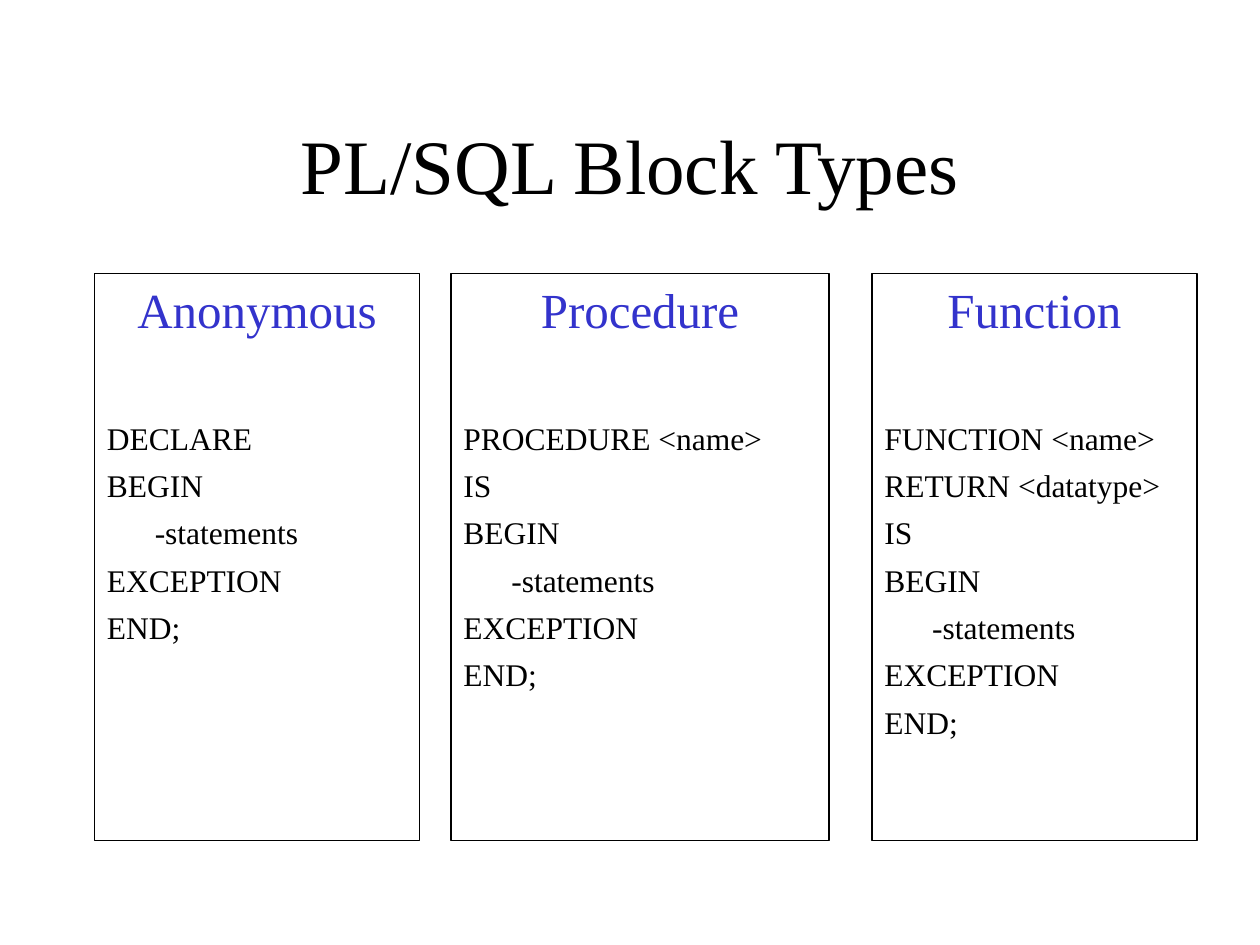
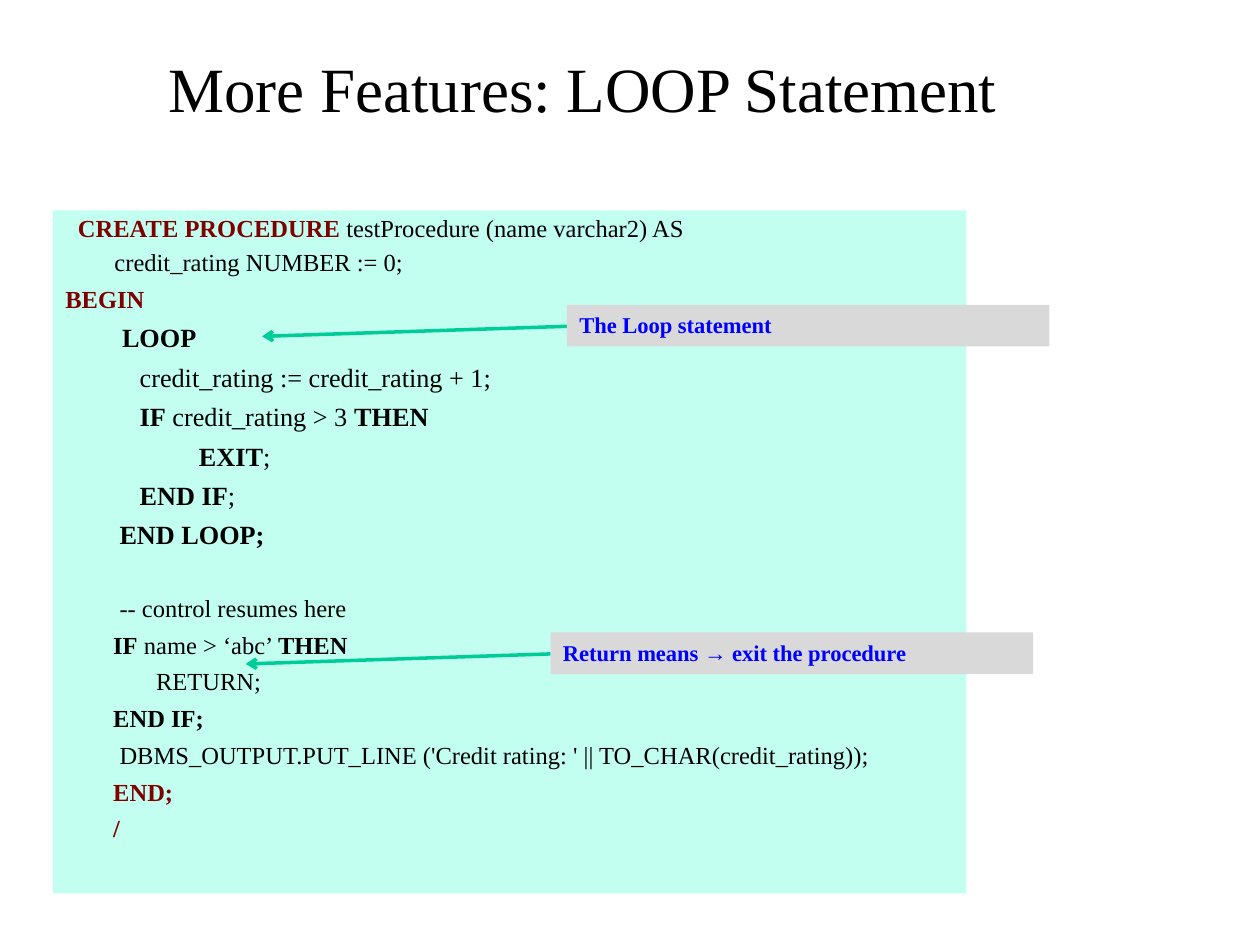
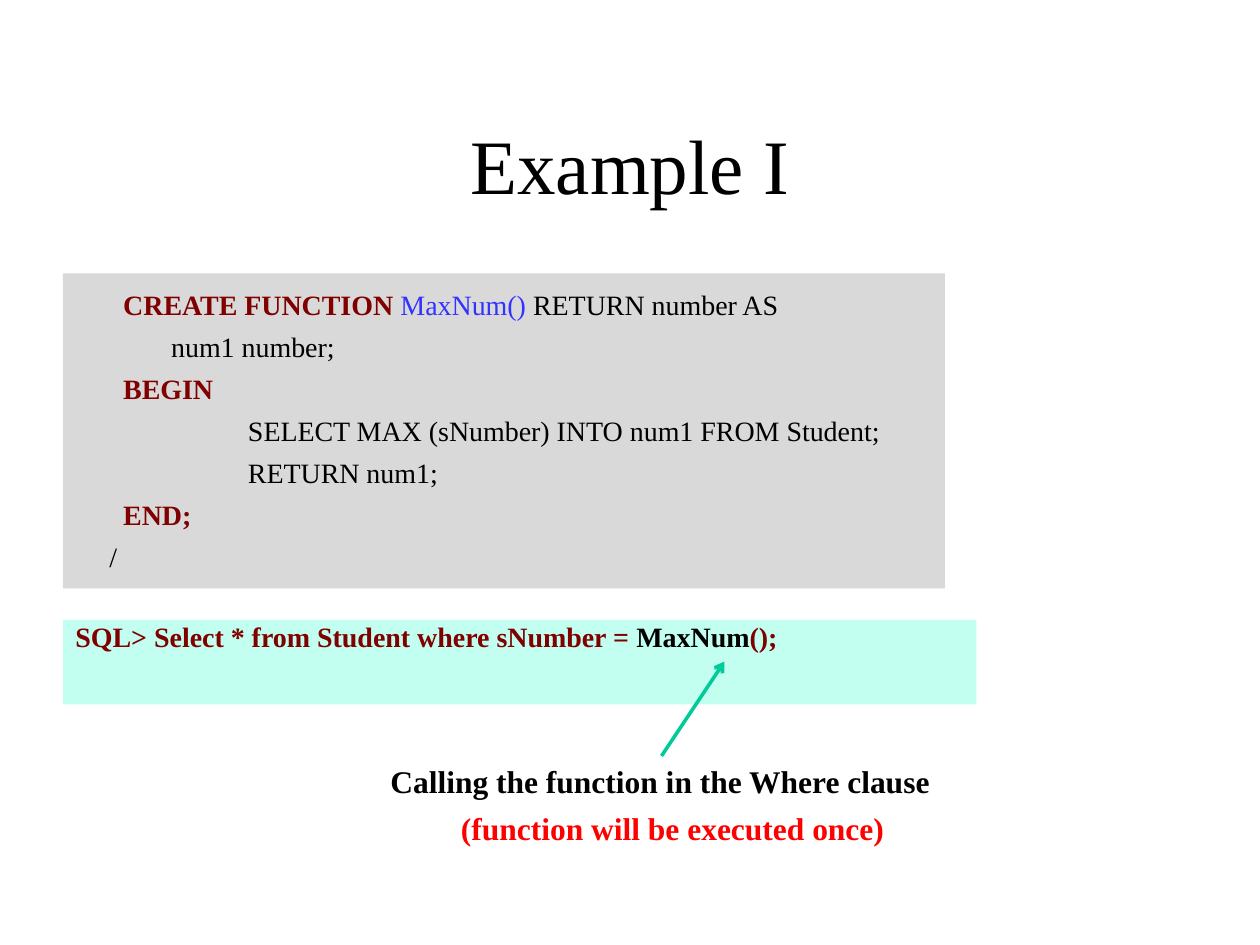
"""Builds three slides on PL/SQL blocks, loops and functions."""
from dataclasses import dataclass

from lxml import etree
from pptx import Presentation
from pptx.dml.color import RGBColor
from pptx.enum.shapes import MSO_CONNECTOR, MSO_SHAPE
from pptx.enum.text import MSO_ANCHOR, PP_ALIGN
from pptx.oxml.ns import qn
from pptx.util import Inches, Pt

RECT = MSO_SHAPE.RECTANGLE
LINE = MSO_CONNECTOR.STRAIGHT
TOP, MIDDLE = MSO_ANCHOR.TOP, MSO_ANCHOR.MIDDLE
LEFT, CENTER = PP_ALIGN.LEFT, PP_ALIGN.CENTER


@dataclass(frozen=True)
class Theme:
    """Colours, fonts and type sizes of the deck."""
    serif: str = "Times New Roman"
    sans: str = "Arial"
    black: str = "000000"
    maroon: str = "800000"
    indigo: str = "3333CC"
    violet: str = "3333FF"
    blue: str = "0000FF"
    red: str = "FF0000"
    mint: str = "C2FFF0"
    gray: str = "D9D9D9"
    green: str = "00CC99"
    title: float = 44
    minor: float = 36
    head: float = 28
    body: float = 18
    code: float = 16
    loop: float = 15
    small: float = 14
    label: float = 12.9
    space: float = 0.3

    def style(self, name):
        """Return colour, weight and font for a run style."""
        return {
            "plain": (self.black, False, self.serif),
            "bold": (self.black, True, self.serif),
            "key": (self.maroon, True, self.serif),
            "head": (self.indigo, False, self.serif),
            "name": (self.violet, False, self.serif),
            "note": (self.blue, True, self.serif),
            "sign": (self.blue, True, self.sans),
            "warn": (self.red, True, self.serif),
        }[name]


@dataclass
class Row:
    """One paragraph: (style, text) runs and their layout."""
    runs: list
    size: float
    dent: float = 0
    gap: float = None
    lead: float = 1
    align: int = LEFT


def assign(target, values):
    """Set each attribute named in values."""
    for name, value in values.items():
        setattr(target, name, value)


class Deck:
    """Holds the theme and the current slide."""

    def __init__(self, theme):
        """Open an empty deck."""
        self.theme = theme
        self.show = Presentation()
        assign(self.show, {"slide_width": Inches(10), "slide_height": Inches(7.5)})
        self.slide = None

    def page(self, title, box=(0.75, 0.67, 8.5, 1.25), size=None):
        """Add a slide with its title."""
        self.slide = self.show.slides.add_slide(self.show.slide_layouts[6])
        row = Row([("plain", title)], size or self.theme.title, align=CENTER)
        self.text(box, [row], anchor=MIDDLE)

    def fill(self, shape, rows, anchor=TOP, wrap=True, inset=0.05):
        """Fill a shape with rows of text."""
        frame = shape.text_frame
        assign(frame, {
            "word_wrap": wrap, "vertical_anchor": anchor,
            "margin_left": Inches(0.1), "margin_right": Inches(0.1),
            "margin_top": Inches(inset), "margin_bottom": Inches(0.05)})
        for spot, row in enumerate(rows):
            para = frame.add_paragraph() if spot else frame.paragraphs[0]
            gap = row.size * self.theme.space if row.gap is None else row.gap
            assign(para, {"alignment": row.align, "line_spacing": row.lead,
                          "space_before": Pt(gap if spot else 0)})
            para._p.get_or_add_pPr().set("marL", str(Inches(row.dent)))
            for style, text in row.runs:
                color, bold, face = self.theme.style(style)
                run = para.add_run()
                run.text = text
                assign(run.font, {"name": face, "size": Pt(row.size), "bold": bold})
                run.font.color.rgb = RGBColor.from_string(color)

    def text(self, box, rows, **layout):
        """Add a text box."""
        self.fill(self.slide.shapes.add_textbox(*map(Inches, box)), rows, **layout)

    def panel(self, box, rows, color=None, **layout):
        """Add a filled panel, or an outlined one without a colour."""
        shape = self.slide.shapes.add_shape(RECT, *map(Inches, box))
        shape.shadow.inherit = False
        if color:
            shape.fill.solid()
            shape.fill.fore_color.rgb = RGBColor.from_string(color)
            shape.line.fill.background()
        else:
            shape.fill.background()
            shape.line.color.rgb = RGBColor.from_string(self.theme.black)
            shape.line.width = Pt(0.75)
        self.fill(shape, rows, **layout)

    def arrow(self, start, end):
        """Add an open-headed arrow."""
        link = self.slide.shapes.add_connector(LINE, *map(Inches, start + end))
        link.line.color.rgb = RGBColor.from_string(self.theme.green)
        link.line.width = Pt(2)
        edge = link._element.spPr.find(qn("a:ln"))
        etree.SubElement(edge, qn("a:tailEnd"), type="arrow")
        etree.SubElement(link._element.spPr, qn("a:effectLst"))

    def callout(self, left, top, runs):
        """Add a gray label with an arrow to its left."""
        self.arrow((left, top + 0.17), (left - 2.42, top + 0.25))
        self.panel((left, top, 3.83, 0.33), [Row(runs, self.theme.label)],
                   self.theme.gray)


def blocks(deck):
    """Slide on the three block types."""
    look = deck.theme
    deck.page("PL/SQL Block Types")
    tail = ["BEGIN", "-statements", "EXCEPTION", "END;"]
    kinds = [
        (0.75, 2.58, "Anonymous", ["DECLARE"]),
        (3.58, 3, "Procedure", ["PROCEDURE <name>", "IS"]),
        (6.92, 2.58, "Function", ["FUNCTION <name>", "RETURN <datatype>", "IS"]),
    ]
    for left, width, name, intro in kinds:
        rows = [Row([("plain", line)], look.body,
                    dent=0.38 if line.startswith("-") else 0)
                for line in intro + tail]
        rows[0].gap = 46
        head = Row([("head", name)], look.head, align=CENTER)
        deck.panel((left, 2.17, width, 4.5), [head] + rows)


def loops(deck):
    """Slide on the loop statement."""
    look = deck.theme
    deck.page("More Features: LOOP Statement", (0.5, 0.13, 8.25, 1.12), look.minor)
    intro = [
        (0.1, [("key", "CREATE PROCEDURE "),
               ("plain", "testProcedure (name varchar2) AS")]),
        (0.39, [("plain", "credit_rating NUMBER := 0;")]),
    ]
    loop = [
        (0.45, [("bold", "LOOP")]),
        (0.59, [("plain", "credit_rating := credit_rating + 1;")]),
        (0.59, [("bold", "IF"), ("plain", " credit_rating > 3 "), ("bold", "THEN")]),
        (1.06, [("bold", "EXIT"), ("plain", ";")]),
        (0.59, [("bold", "END IF"), ("plain", ";")]),
        (0.43, [("bold", "END LOOP;")]),
    ]
    rest = [
        (0.43, [("plain", "-- control resumes here")]),
        (0.38, [("bold", "IF"), ("plain", " name > ‘abc’ "), ("bold", "THEN")]),
        (0.72, [("plain", "RETURN;")]),
        (0.38, [("bold", "END IF;")]),
        (0.43, [("plain", "DBMS_OUTPUT.PUT_LINE ('Credit rating: ' || "
                          "TO_CHAR(credit_rating));")]),
        (0.38, [("key", "END;")]),
        (0.38, [("key", "/")]),
    ]
    rows = [Row(runs, look.small, dent, lead=0.9) for dent, runs in intro]
    rows.append(Row([("key", "BEGIN")], look.small))
    rows += [Row(runs, look.loop, dent) for dent, runs in loop]
    after = [Row(runs, look.small, dent) for dent, runs in rest]
    after[0].gap = 24.5
    deck.panel((0.42, 1.67, 7.25, 5.42), rows + after, look.mint)
    deck.callout(4.37, 5.02, [("note", "Return means "), ("sign", "→"),
                              ("note", " exit the procedure")])
    deck.callout(4.5, 2.42, [("note", "The Loop statement")])


def sample(deck):
    """Slide with a function and its call."""
    look = deck.theme
    deck.page("Example I")
    lines = [
        (0.38, [("key", "CREATE FUNCTION "), ("name", "MaxNum() "),
                ("plain", "RETURN number AS")]),
        (0.76, [("plain", "num1 number;")]),
        (0.38, [("key", "BEGIN")]),
        (1.37, [("plain", "SELECT MAX (sNumber) INTO num1 FROM Student;")]),
        (1.37, [("plain", "RETURN num1;")]),
        (0.38, [("key", "END;")]),
        (0.27, [("plain", "/")]),
    ]
    deck.panel((0.5, 2.17, 7, 2.5),
               [Row(runs, look.code, dent) for dent, runs in lines],
               look.gray, inset=0.11)
    query = [("key", "SQL> Select * from Student where sNumber = "),
             ("bold", "MaxNum"), ("key", "();")]
    deck.panel((0.5, 4.92, 7.25, 0.67), [Row(query, look.code, lead=0.8)], look.mint)
    deck.arrow((5.25, 6), (5.75, 5.25))
    deck.text((3, 6, 4.49, 0.77), [
        Row([("bold", "Calling the function in the Where clause")], look.body),
        Row([("warn", "(function will be executed once)")], look.body, 0.56),
    ], wrap=False)


def main():
    """Build and save the deck."""
    deck = Deck(Theme())
    for build in (blocks, loops, sample):
        build(deck)
    deck.show.save("out.pptx")


if __name__ == "__main__":
    main()
